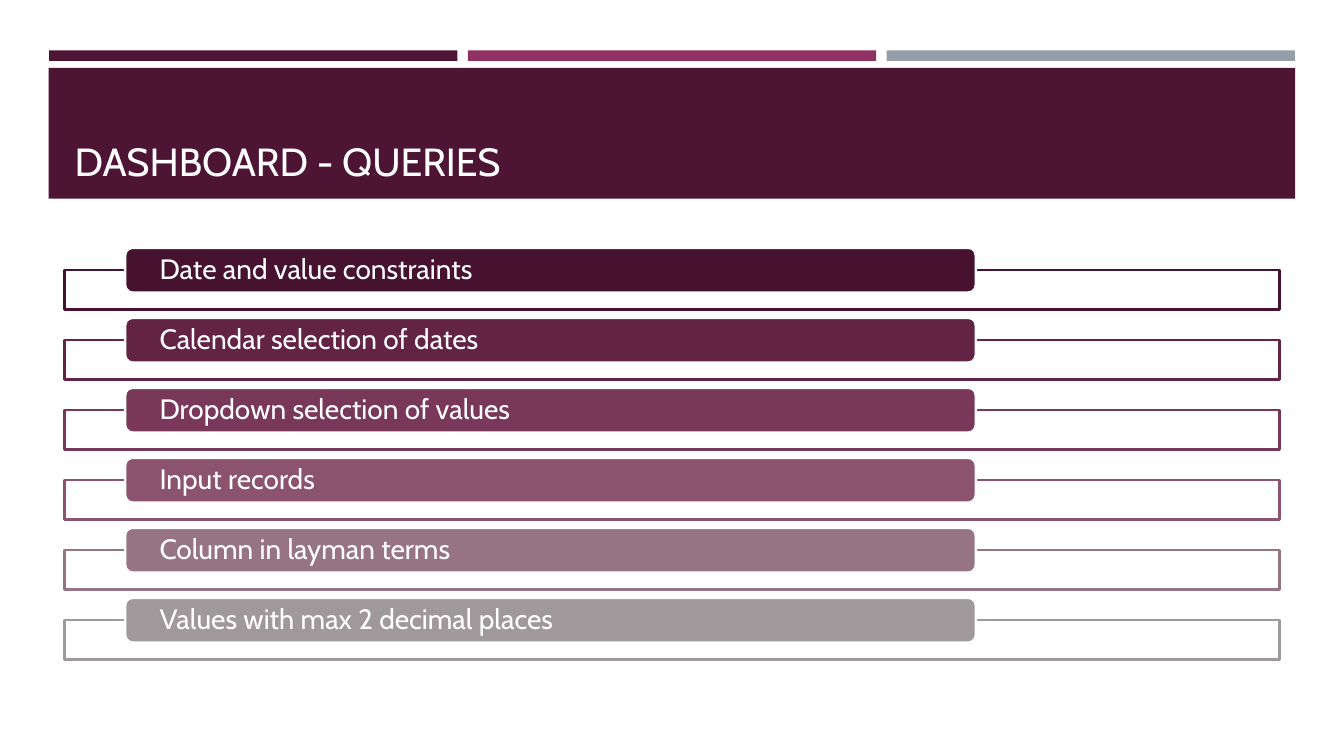
from dataclasses import dataclass

from lxml.etree import SubElement
from pptx import Presentation
from pptx.dml.color import RGBColor
from pptx.enum.shapes import MSO_SHAPE
from pptx.enum.text import MSO_ANCHOR, PP_ALIGN
from pptx.oxml.ns import qn
from pptx.util import Pt


@dataclass(frozen=True)
class Theme:
    font: str = "Cabin"
    title_size: float = 28
    item_size: float = 20
    line_width: float = 1.75
    white: str = "FFFFFF"
    banner: str = "4D1434"
    strips: tuple = ("4D1434", "903163", "969FA7")
    rows: tuple = ("46122F", "622344", "793859", "8C536E", "977484", "9F999C")


THEME = Theme()
ITEMS = (
    "Date and value constraints",
    "Calendar selection of dates",
    "Dropdown selection of values",
    "Input records",
    "Column in layman terms",
    "Values with max 2 decimal places",
)


def add_block(slide, kind, left, top, width, height, fill, line=None):
    s = slide.shapes.add_shape(kind, Pt(left), Pt(top), Pt(width), Pt(height))
    s.shadow.inherit = False
    s.fill.solid()
    s.fill.fore_color.rgb = RGBColor.from_string(fill)
    if line:
        s.line.color.rgb = RGBColor.from_string(line)
        s.line.width = Pt(THEME.line_width)
    else:
        s.line.fill.background()
    return s


def set_text(s, text, size, anchor, side, edge):
    tf = s.text_frame
    tf.text = text
    tf.word_wrap = True
    tf.vertical_anchor = anchor
    tf.margin_left = tf.margin_right = Pt(side)
    tf.margin_top = tf.margin_bottom = Pt(edge)
    p = tf.paragraphs[0]
    p.alignment = PP_ALIGN.LEFT
    p.line_spacing = 0.9
    r = p.runs[0]
    r.font.name = THEME.font
    r.font.size = Pt(size)
    r.font.color.rgb = RGBColor.from_string(THEME.white)


def add_strips(slide, left, top, width, height, gap=7.5):
    """Three equal colour strips across the box."""
    strip = (width - gap * (len(THEME.strips) - 1)) / len(THEME.strips)
    for i, color in enumerate(THEME.strips):
        add_block(slide, MSO_SHAPE.RECTANGLE, left + i * (strip + gap), top,
                  strip, height, color)


def add_banner(slide, left, top, width, height, title):
    """Dark title banner with the title at its foot."""
    add_block(slide, MSO_SHAPE.RECTANGLE, left, top, width, height, THEME.banner)
    s = slide.shapes.add_textbox(Pt(left + 11.4), Pt(top + 7), Pt(width - 22.8),
                                 Pt(height - 13.5))
    set_text(s, title, THEME.title_size, MSO_ANCHOR.BOTTOM, 7.2, 3.6)


def add_list(slide, left, top, width, items, pitch=50):
    """Outlined frames, each topped by a rounded label."""
    for i, (item, color) in enumerate(zip(items, THEME.rows)):
        y = top + i * pitch
        frame = add_block(slide, MSO_SHAPE.RECTANGLE, left, y + 16, width, 28,
                          THEME.white, color)
        # The frame fill is slightly transparent
        rgb = frame.fill._xPr.find(qn("a:solidFill"))[0]
        SubElement(rgb, qn("a:alpha"), val="90000")
        label = add_block(slide, MSO_SHAPE.ROUNDED_RECTANGLE, left + width * 0.05, y,
                          width * 0.7, 32, color, THEME.white)
        set_text(label, item, THEME.item_size, MSO_ANCHOR.MIDDLE, 23, 0)


def main():
    prs = Presentation()
    prs.slide_width, prs.slide_height = Pt(960), Pt(540)
    slide = prs.slides.add_slide(prs.slide_layouts[6])
    add_strips(slide, 35, 36, 890, 7.5)
    add_banner(slide, 34.8, 48.5, 890.4, 93.5, "DASHBOARD - QUERIES")
    add_list(slide, 46, 177, 868, ITEMS)
    prs.save("out.pptx")


if __name__ == "__main__":
    main()
